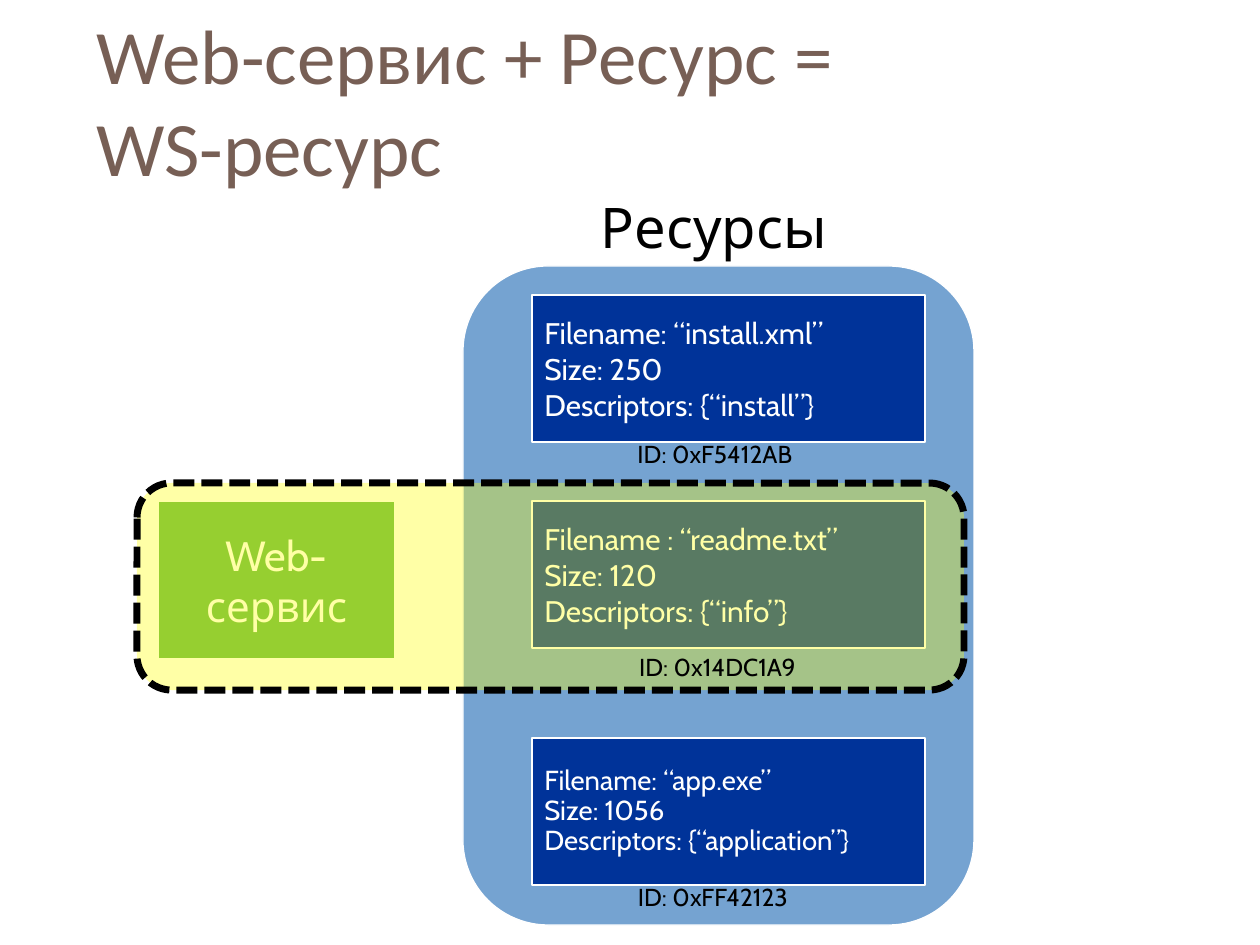
from lxml import etree
from pptx import Presentation
from pptx import util as u
from pptx.dml.color import RGBColor
from pptx.enum import dml, shapes, text
from pptx.oxml.ns import qn

THEME = {
    "title": "775F55", "white": "FFFFFF", "black": "000000",
    "service": "5FB64A", "pool": "75A3D1", "card": "003399", "highlight": "FFFF00",
    "title_font": "Calibri", "font": "Cabin",
    "title_size": 44, "heading_size": 32, "service_size": 24,
    "card_size": 17, "small_card_size": 15.7, "id_size": 14,
}
EMU_PER_PX = 914400 / 126


def px(*values):
    return [u.Emu(round(v * EMU_PER_PX)) for v in values]


def write(sp, lines, size, color="white", font="font", align=text.PP_ALIGN.LEFT,
          anchor=text.MSO_ANCHOR.MIDDLE, spacing=1.0, wrap=True):
    tf = sp.text_frame
    tf.word_wrap = wrap
    tf.auto_size = text.MSO_AUTO_SIZE.NONE
    tf.vertical_anchor = anchor
    for i, line in enumerate(lines):
        p = tf.paragraphs[0] if i == 0 else tf.add_paragraph()
        p.text = line
        p.alignment = align
        p.line_spacing = spacing
        for r in p.runs:
            r.font.size = u.Pt(THEME[size])
            r.font.name = THEME[font]
            r.font.color.rgb = RGBColor.from_string(THEME[color])


prs = Presentation()
prs.slide_width, prs.slide_height = px(1260, 945)
s = prs.slides.add_slide(prs.slide_layouts[5])
center, top = text.PP_ALIGN.CENTER, text.MSO_ANCHOR.TOP

# Title
title = s.shapes.title
title.left, title.top, title.width, title.height = px(84, 32, 1124, 136)
write(title, ["Web-сервис + Ресурс =\vWS-ресурс"], "title_size", "title", "title_font")

# Web service, resource pool and three resource cards
blocks = [
    ("service", (158, 501, 237, 158), ["Web-сервис"], "service_size", center, 1.0),
    ("pool", (463, 266, 511, 659), [], None, None, 1.0),
    ("card", (532, 295, 393, 147),
     ["Filename: “install.xml”", "Size: 250", "Descriptors: {“install”}"],
     "card_size", text.PP_ALIGN.LEFT, 1.0),
    ("card", (532, 501, 393, 147),
     ["Filename : “readme.txt”", "Size: 120", "Descriptors: {“info”}"],
     "card_size", text.PP_ALIGN.LEFT, 1.0),
    ("card", (532, 738, 393, 147),
     ["Filename: “app.exe”", "Size: 1056", "Descriptors: {“application”}"],
     "small_card_size", text.PP_ALIGN.LEFT, 0.9),
]
for fill, box, lines, size, align, spacing in blocks:
    kind = shapes.MSO_SHAPE.ROUNDED_RECTANGLE if fill == "pool" else shapes.MSO_SHAPE.RECTANGLE
    sp = s.shapes.add_shape(kind, *px(*box))
    sp.shadow.inherit = False
    sp.fill.solid()
    sp.fill.fore_color.rgb = RGBColor.from_string(THEME[fill])
    sp.line.color.rgb = RGBColor.from_string(THEME["white"])
    sp.line.width = u.Pt(0.75)
    write(sp, lines, size, align=align, spacing=spacing)

# Translucent frame joining the service and its resource
frame = s.shapes.add_shape(shapes.MSO_SHAPE.ROUNDED_RECTANGLE, *px(137, 483, 827, 207))
frame.shadow.inherit = False
frame.fill.solid()
frame.fill.fore_color.rgb = RGBColor.from_string(THEME["highlight"])
color = frame.fill._xPr.find(qn("a:solidFill"))[0]
etree.SubElement(color, qn("a:alpha"), val="35000")
frame.line.color.rgb = RGBColor.from_string(THEME["black"])
frame.line.width = u.Pt(4)
frame.line.dash_style = dml.MSO_LINE.SQUARE_DOT

# Heading and resource identifiers
labels = [
    ("Ресурсы", (522, 186, 384, 81), "heading_size", True),
    ("ID: 0xF5412AB", (619, 433, 192, 43), "id_size", False),
    ("ID: 0x14DC1A9", (619, 646, 197, 43), "id_size", False),
    ("ID: 0xFF42123", (620, 876, 186, 43), "id_size", False),
]
for label, box, size, wrap in labels:
    tb = s.shapes.add_textbox(*px(*box))
    write(tb, [label], size, "black", align=center, anchor=top, wrap=wrap)

prs.save("out.pptx")
